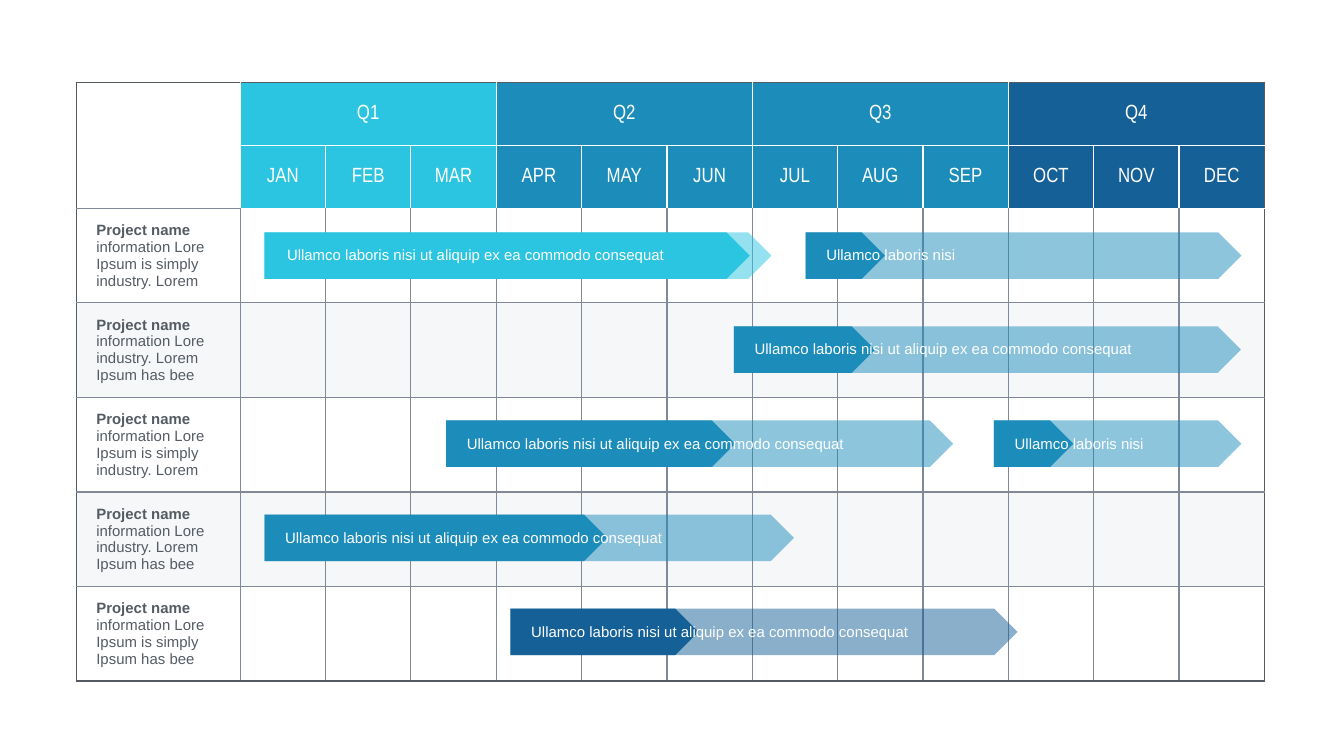
import pptx
import pptx.util
import pptx.dml.color
import pptx.enum.shapes
import pptx.enum.text
import pptx.oxml
import pptx.oxml.ns
import lxml.etree

Pt = pptx.util.Pt
CYAN, BLUE, NAVY = "2CC5E1", "1C8CBA", "156097"
WHITE, GREY, SLATE, MIST = "FFFFFF", "7F8998", "545B63", "EEF0F4"
QUARTER_COLORS = [CYAN, BLUE, BLUE, NAVY]
MONTHS = "JAN FEB MAR APR MAY JUN JUL AUG SEP OCT NOV DEC".split()
SIMPLY = "information Lore Ipsum is simply industry. Lorem"
INDUSTRY = "information Lore industry. Lorem Ipsum has bee"
PROJECTS = [SIMPLY, INDUSTRY, SIMPLY, INDUSTRY,
            "information Lore Ipsum is simply Ipsum has bee"]
ROW_FILLS = [(WHITE, 100), (MIST, 50), (WHITE, 100), (MIST, 50), (WHITE, 50)]
LONG_TASK = "Ullamco laboris nisi ut aliquip ex ea commodo consequat"
SHORT_TASK = "Ullamco laboris nisi"
TASKS = [
    (1, 352.4, 271.6, 75.6, BLUE, LONG_TASK),
    (0, 100.9, 271.6, 260, CYAN, LONG_TASK),
    (3, 100.9, 283.7, 183.6, BLUE, LONG_TASK),
    (4, 232.7, 271.6, 100.8, NAVY, LONG_TASK),
    (2, 198.2, 271.6, 154.8, BLUE, LONG_TASK),
    (2, 491.7, 132.6, 42.5, BLUE, SHORT_TASK),
    (0, 390.8, 233.5, 42.5, BLUE, SHORT_TASK),
]


def rgb(value):
    return pptx.dml.color.RGBColor.from_string(value)


def paint(owner, properties, color, opacity=100):
    owner.fill.solid()
    owner.fill.fore_color.rgb = rgb(color)
    if opacity < 100:
        tint = properties.find(pptx.oxml.ns.qn("a:solidFill"))[0]
        alpha = lxml.etree.SubElement(tint, pptx.oxml.ns.qn("a:alpha"))
        alpha.set("val", str(opacity * 1000))


def style(paragraph, font, size, color):
    paragraph.font.name = font
    paragraph.font.size = Pt(size)
    paragraph.font.color.rgb = rgb(color)


def set_margins(frame, left):
    frame.margin_left = Pt(left)
    frame.margin_right = Pt(2.7)
    frame.margin_top = frame.margin_bottom = Pt(1.35)


def add_borders(cell, row, column):
    header = row < 2
    below_header = row in (1, 2) and column > 0
    last_column = column == 12 or (row, column) == (0, 10)
    inner = WHITE if header else GREY
    colors = {
        "L": SLATE if column == 0 else inner,
        "R": SLATE if last_column else inner,
        "T": SLATE if row == 0 else WHITE if below_header else GREY,
        "B": SLATE if row == 6 else WHITE if header and column > 0 else GREY,
    }
    properties = cell._tc.get_or_add_tcPr()
    for side, color in colors.items():
        properties.append(pptx.oxml.parse_xml(
            f'<a:ln{side} {pptx.oxml.ns.nsdecls("a")} w="{Pt(0.75)}">'
            f'<a:solidFill><a:srgbClr val="{color}"/></a:solidFill></a:ln{side}>'))


def add_header_text(cell, text):
    cell.text = text
    paragraph = cell.text_frame.paragraphs[0]
    paragraph.alignment = pptx.enum.text.PP_ALIGN.CENTER
    style(paragraph, "Arial Narrow", 11, WHITE)


def add_project_text(cell, details):
    paragraph = cell.text_frame.paragraphs[0]
    style(paragraph, "Arial", 8, SLATE)
    name = paragraph.add_run()
    name.text = "Project name "
    name.font.bold = True
    paragraph.add_run().text = details


def add_calendar(slide, left, top, width, height):
    name_width, header_height = 87.9, 33.75
    month_width = (width - name_width) / 12
    project_height = (height - 2 * header_height) / 5
    calendar = slide.shapes.add_table(
        7, 13, Pt(left), Pt(top), Pt(width), Pt(height)).table
    calendar.first_row = calendar.horz_banding = False
    for column, grid_column in enumerate(calendar.columns):
        grid_column.width = Pt(month_width if column else name_width)
    for row, grid_row in enumerate(calendar.rows):
        grid_row.height = Pt(header_height if row < 2 else project_height)

    for row in range(7):
        for column in range(13):
            cell = calendar.cell(row, column)
            add_borders(cell, row, column)
            set_margins(cell, 10.8 if row > 1 and column == 0 else 2.7)
            cell.vertical_anchor = pptx.enum.text.MSO_ANCHOR.MIDDLE
            if row > 1:
                paint(cell, cell._tc.tcPr, *ROW_FILLS[row - 2])
            elif column:
                paint(cell, cell._tc.tcPr, QUARTER_COLORS[(column - 1) // 3])
            else:
                cell.fill.background()

    calendar.cell(0, 0).merge(calendar.cell(1, 0))
    for quarter in range(4):
        first = 1 + 3 * quarter
        calendar.cell(0, first).merge(calendar.cell(0, first + 2))
        add_header_text(calendar.cell(0, first), f"Q{quarter + 1}")
    for column, month in enumerate(MONTHS, 1):
        add_header_text(calendar.cell(1, column), month)
    for row, details in enumerate(PROJECTS, 2):
        add_project_text(calendar.cell(row, 0), details)


def add_task(slide, left, top, length, done, color, text):
    height = 24.9
    task = slide.shapes.add_group_shape()
    for extent, opacity in ((length, 50), (done, 100)):
        arrow = task.shapes.add_shape(
            pptx.enum.shapes.MSO_SHAPE.PENTAGON,
            Pt(left), Pt(top), Pt(extent), Pt(height))
        arrow.shadow.inherit = False
        arrow.line.fill.background()
        paint(arrow, arrow._element.spPr, color, opacity)
    label_width = 224 if text == LONG_TASK else 103
    indent = 9.4 if color == CYAN else 8.4
    label = task.shapes.add_textbox(
        Pt(left + indent), Pt(top + 5.9), Pt(label_width), Pt(13))
    label.text_frame.word_wrap = True
    set_margins(label.text_frame, 2.7)
    label.text_frame.text = text
    style(label.text_frame.paragraphs[0], "Arial", 8, WHITE)


def add_tasks(slide, left, top):
    for row, start, length, done, color, text in TASKS:
        add_task(slide, left + start, top + 80.4 + 50.4 * row,
                 length, done, color, text)


def main():
    presentation = pptx.Presentation()
    presentation.slide_width = Pt(720)
    presentation.slide_height = Pt(405)
    slide = presentation.slides.add_slide(presentation.slide_layouts[6])
    left, top = 40.8, 44.1
    add_calendar(slide, left, top, 636.9, 320.8)
    add_tasks(slide, left, top)
    presentation.save("out.pptx")


if __name__ == "__main__":
    main()
